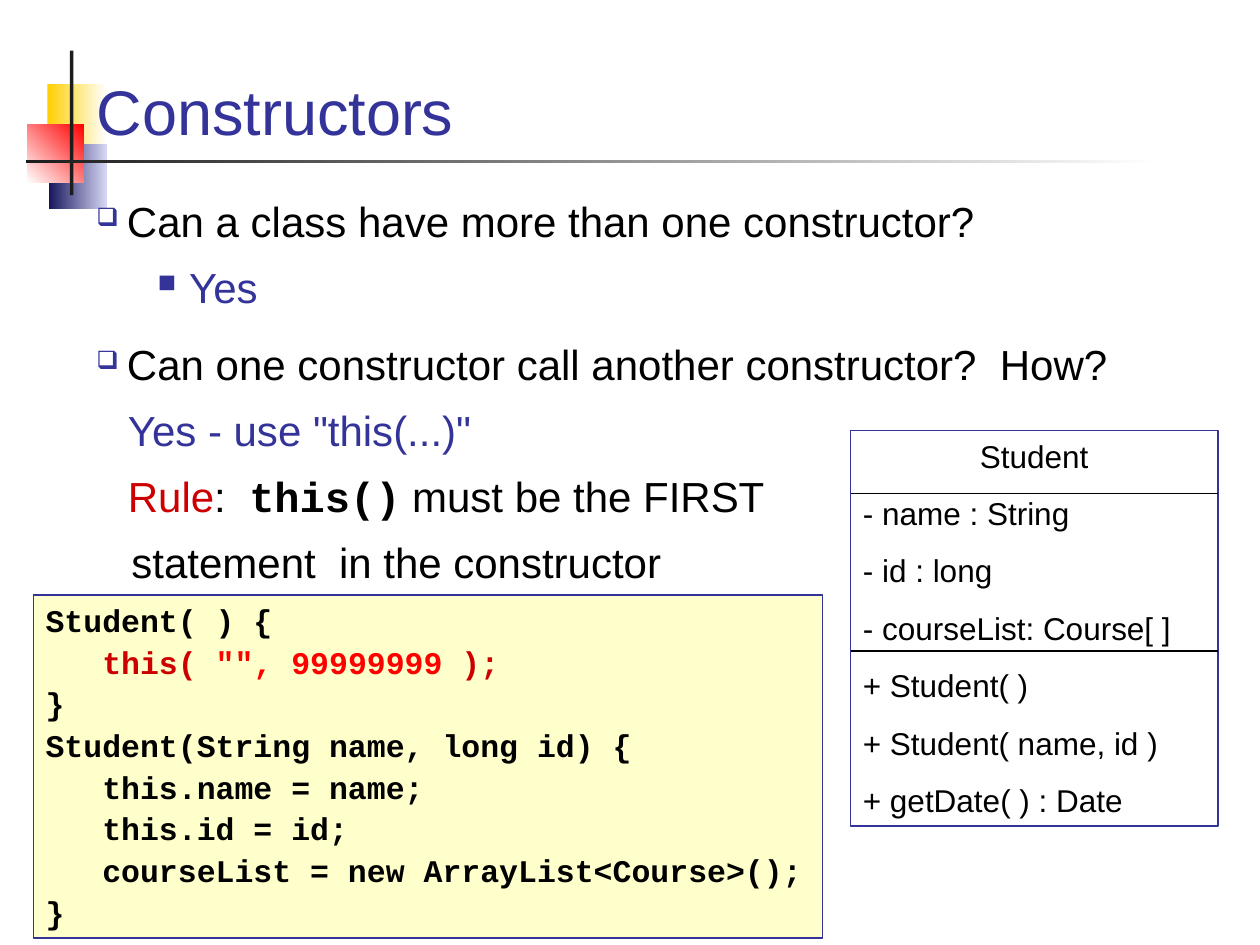
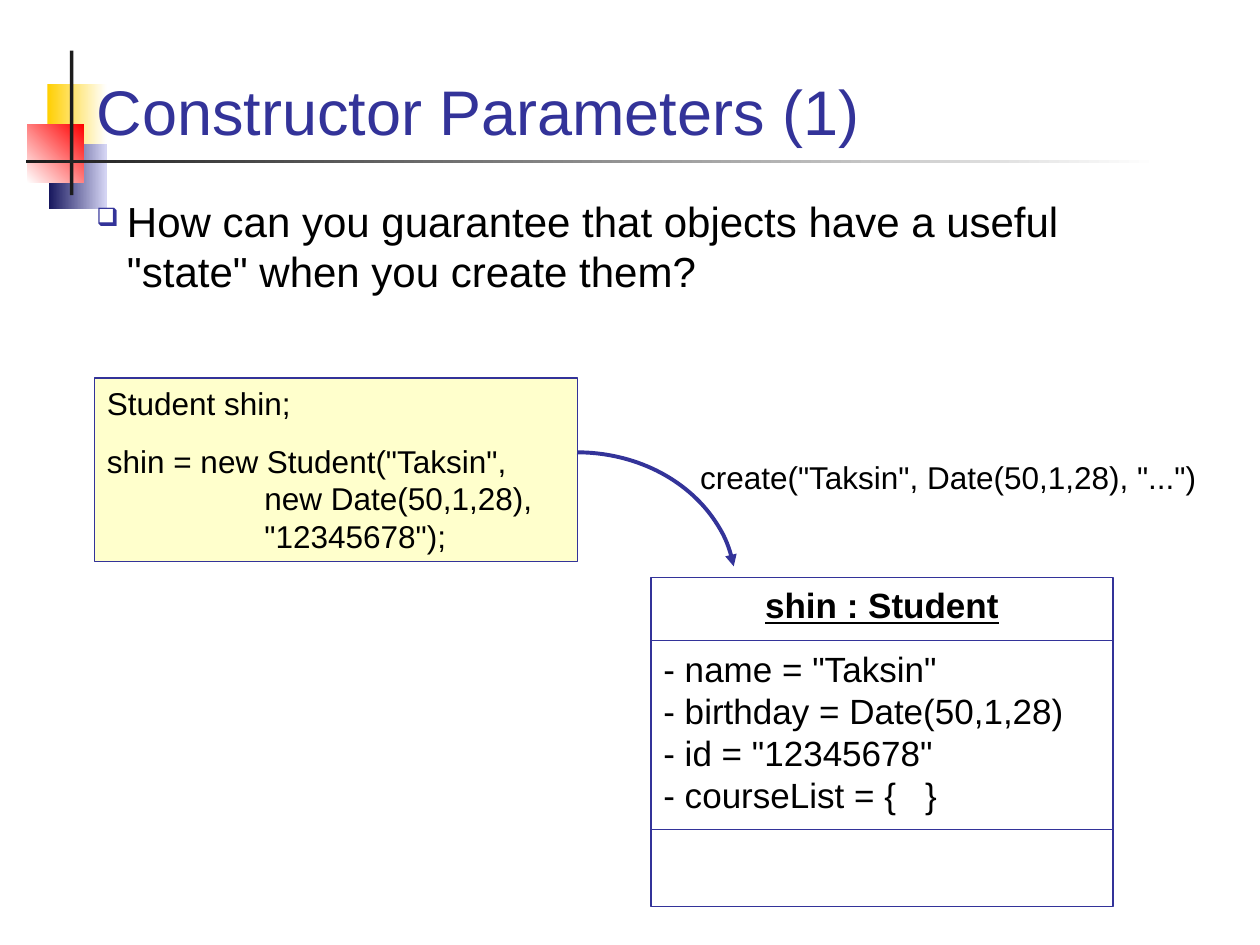
from dataclasses import dataclass

from lxml import etree
from pptx import Presentation
from pptx.dml.color import RGBColor
from pptx.enum import shapes, text
from pptx.oxml import ns
from pptx.util import Pt


@dataclass(frozen=True)
class Theme:
    """Colours, fonts and type sizes of the deck."""
    navy: str = "333399"
    black: str = "000000"
    white: str = "FFFFFF"
    cream: str = "FFFFCC"
    rule_red: str = "CC0000"
    value_red: str = "FF0000"
    yellow: str = "FFCF01"
    ink: str = "17175E"
    haze: str = "D6D6F5"
    charcoal: str = "1C1C1C"
    sans: str = "Arial"
    mono: str = "Courier New"
    title: int = 36
    body: int = 24
    object: int = 20
    small: int = 18
    leading: float = 1.2
    hairline: float = 0.75
    arrow: float = 2.25


THEME = Theme()


@dataclass
class Line:
    """One paragraph: a string, or (text, colour, font) runs, with its format."""
    content: object
    before: float = 0
    size: int = THEME.small
    colour: str = THEME.black
    face: str = THEME.sans
    bold: bool = False
    underline: bool = False
    centred: bool = False
    margin: float = 0
    hang: float = 0
    bullet: str = ""


def rgb(colour):
    """Turn a hex string into a colour."""
    return RGBColor.from_string(colour)


def add_child(parent, tag, **attributes):
    """Append a DrawingML element and return it."""
    return etree.SubElement(parent, ns.qn(f"a:{tag}"), attributes)


def set_indent(paragraph, line):
    """Set the left margin, hanging indent and bullet of a paragraph."""
    props = paragraph._p.get_or_add_pPr()
    props.set("marL", str(Pt(line.margin)))
    props.set("indent", str(Pt(-line.hang)))
    if line.bullet:
        add_child(add_child(props, "buClr"), "srgbClr", val=THEME.navy)
        add_child(props, "buSzPct", val="60000")
        add_child(props, "buChar", char=line.bullet)


def write(frame, lines):
    """Fill a text frame with lines."""
    frame.word_wrap = True
    frame.vertical_anchor = text.MSO_ANCHOR.TOP
    for index, line in enumerate(lines):
        paragraph = frame.paragraphs[0] if index == 0 else frame.add_paragraph()
        if isinstance(line.content, str):
            paragraph.text = line.content
        else:
            for words, colour, face in line.content:
                run = paragraph.add_run()
                run.text = words
                run.font.color.rgb = rgb(colour)
                run.font.name = face
                run.font.bold = line.bold or face == THEME.mono
        set_indent(paragraph, line)
        paragraph.alignment = (
            text.PP_ALIGN.CENTER if line.centred else text.PP_ALIGN.LEFT)
        paragraph.line_spacing = Pt(line.size * THEME.leading)
        paragraph.space_before = Pt(line.before if index else 0)
        font = paragraph.font
        font.size, font.name = Pt(line.size), line.face
        font.bold, font.underline = line.bold, line.underline
        font.color.rgb = rgb(line.colour)


def add_block(slide, box, start, end=None, angle=0):
    """Add a borderless block in one colour or a two-colour gradient."""
    block = slide.shapes.add_shape(shapes.MSO_SHAPE.RECTANGLE, *map(Pt, box))
    block.shadow.inherit = False
    block.line.fill.background()
    if end is None:
        block.fill.solid()
        block.fill.fore_color.rgb = rgb(start)
        return
    block.fill.gradient()
    block.fill.gradient_angle = angle
    for stop, colour, place in zip(block.fill.gradient_stops, (start, end), (0, 1)):
        stop.color.rgb = rgb(colour)
        stop.position = place


def add_titled_slide(deck, heading):
    """Add a slide with the corner ornament and its title."""
    slide = deck.slides.add_slide(deck.slide_layouts[5])
    add_block(slide, (27, 48, 34, 37.5), THEME.yellow, THEME.white)
    add_block(slide, (28, 82, 33, 37.5), THEME.ink, THEME.haze)
    add_block(slide, (15.5, 71, 32.5, 33.5), THEME.value_red, THEME.white, 225)
    add_block(slide, (40, 29, 2, 82.5), THEME.charcoal)
    add_block(slide, (15, 91.25, 647, 2), THEME.charcoal, THEME.white)
    title = slide.shapes.title
    slide.shapes._spTree.append(title._element)
    title.left, title.top, title.width, title.height = map(Pt, (48, 20, 624, 68.5))
    frame = title.text_frame
    frame.text = heading
    frame.auto_size = text.MSO_AUTO_SIZE.NONE
    frame.vertical_anchor = text.MSO_ANCHOR.BOTTOM
    paragraph = frame.paragraphs[0]
    paragraph.alignment = text.PP_ALIGN.LEFT
    paragraph.font.size, paragraph.font.name = Pt(THEME.title), THEME.sans
    paragraph.font.color.rgb = rgb(THEME.navy)
    return slide


def add_text(slide, box, lines):
    """Add free text."""
    write(slide.shapes.add_textbox(*map(Pt, box)).text_frame, lines)


def add_panel(slide, box, lines, fill=None):
    """Add a navy-outlined panel with text."""
    panel = slide.shapes.add_shape(shapes.MSO_SHAPE.RECTANGLE, *map(Pt, box))
    panel.shadow.inherit = False
    if fill:
        panel.fill.solid()
        panel.fill.fore_color.rgb = rgb(fill)
    else:
        panel.fill.background()
    panel.line.color.rgb = rgb(THEME.navy)
    panel.line.width = Pt(THEME.hairline)
    write(panel.text_frame, lines)


def add_class_box(slide, box, lines, dividers, colour):
    """Add a UML box with dividers at the given heights."""
    add_panel(slide, box, lines)
    left, _, width, _ = box
    for height in dividers:
        divider = slide.shapes.add_connector(
            shapes.MSO_CONNECTOR.STRAIGHT,
            *map(Pt, (left, height, left + width, height)))
        divider.line.color.rgb = rgb(colour)
        divider.line.width = Pt(THEME.hairline)
        add_child(divider._element.spPr, "effectLst")


def add_curved_arrow(slide, box, end_degrees):
    """Add an arc from the top of its ellipse clockwise to an arrowhead."""
    call = slide.shapes.add_shape(shapes.MSO_SHAPE.ARC, *map(Pt, box))
    call.adjustments[1] = end_degrees * 0.6
    call.shadow.inherit = False
    call.fill.background()
    call.line.color.rgb = rgb(THEME.navy)
    call.line.width = Pt(THEME.arrow)
    add_child(call.line._get_or_add_ln(), "tailEnd", type="triangle")


def question(content):
    """Return a top-level bulleted line."""
    return Line(content, 15, THEME.body, margin=17.5, hang=17.5, bullet="❑")


def build_constructors(deck):
    """Build the slide on several constructors in one class."""
    slide = add_titled_slide(deck, "Constructors")
    rule = [("Rule", THEME.rule_red, THEME.sans), (":  ", THEME.black, THEME.sans),
            ("this()", THEME.black, THEME.mono),
            (" must be the FIRST", THEME.black, THEME.sans)]
    add_text(slide, (48, 108, 624, 351), [
        question("Can a class have more than one constructor?"),
        Line("Yes", 9, THEME.body, THEME.navy, margin=53, hang=18, bullet="■"),
        question("Can one constructor call another constructor?  How?"),
        Line('Yes - use "this(...)"', 9, THEME.body, THEME.navy, margin=18),
        Line(rule, 9, THEME.body, margin=18),
        Line("statement  in the constructor", 9, THEME.body, margin=20),
    ])
    members = ["- name : String", "- id : long", "- courseList: Course[ ]",
               "+ Student( )", "+ Student( name, id )", "+ getDate( ) : Date"]
    add_class_box(
        slide, (486, 246, 210, 226),
        [Line("Student", centred=True)] + [Line(member, 11.2) for member in members],
        (282, 372), THEME.black)
    this_call = [("   this( ", THEME.rule_red, THEME.mono),
                 ('"", 99999999 ', THEME.value_red, THEME.mono),
                 (");", THEME.rule_red, THEME.mono)]
    code = ["Student( ) {", this_call, "}", "Student(String name, long id) {",
            "   this.name = name;", "   this.id = id;",
            "   courseList = new ArrayList<Course>();", "}"]
    add_panel(slide, (19, 340, 451, 196),
              [Line(row, 2.2, face=THEME.mono, bold=True) for row in code],
              THEME.cream)


def build_parameters(deck):
    """Build the slide on creating an object with parameters."""
    slide = add_titled_slide(deck, "Constructor Parameters (1)")
    add_text(slide, (48, 108, 624, 72), [question(
        'How can you guarantee that objects have a useful "state" '
        'when you create them?')])
    state = ['- name = "Taksin"', "- birthday = Date(50,1,28)",
             '- id = "12345678"', "- courseList = {   }"]
    heading = Line("shin : Student", size=THEME.object, bold=True,
                   underline=True, centred=True)
    add_class_box(
        slide, (372, 330, 264, 188),
        [heading] + [Line(field, 0 if index else 12.5, THEME.object)
                     for index, field in enumerate(state)],
        (366, 474), THEME.navy)
    creation = 'shin = new Student("Taksin",\vnew Date(50,1,28),\v"12345678");'
    add_panel(slide, (54, 216, 276, 105),
              [Line(row, 11.2, margin=90, hang=90)
               for row in ("Student shin;", creation)],
              THEME.cream)
    add_curved_arrow(slide, (239, 258.5, 181.5, 155.5), 352)
    add_text(slide, (393, 258, 318, 29),
             [Line('create("Taksin", Date(50,1,28), "...")')])


def main():
    """Build and save the deck."""
    deck = Presentation()
    deck.slide_width, deck.slide_height = Pt(720), Pt(540)
    build_constructors(deck)
    build_parameters(deck)
    deck.save("out.pptx")


if __name__ == "__main__":
    main()
